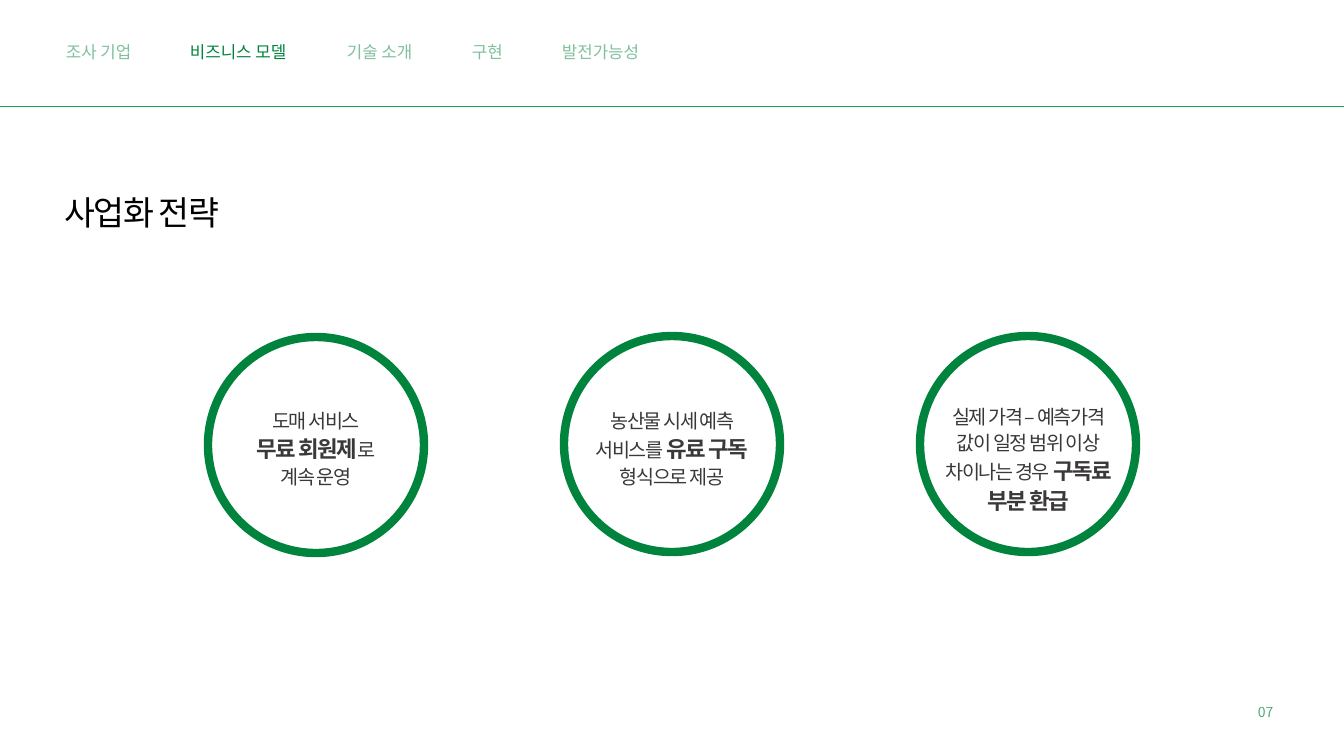
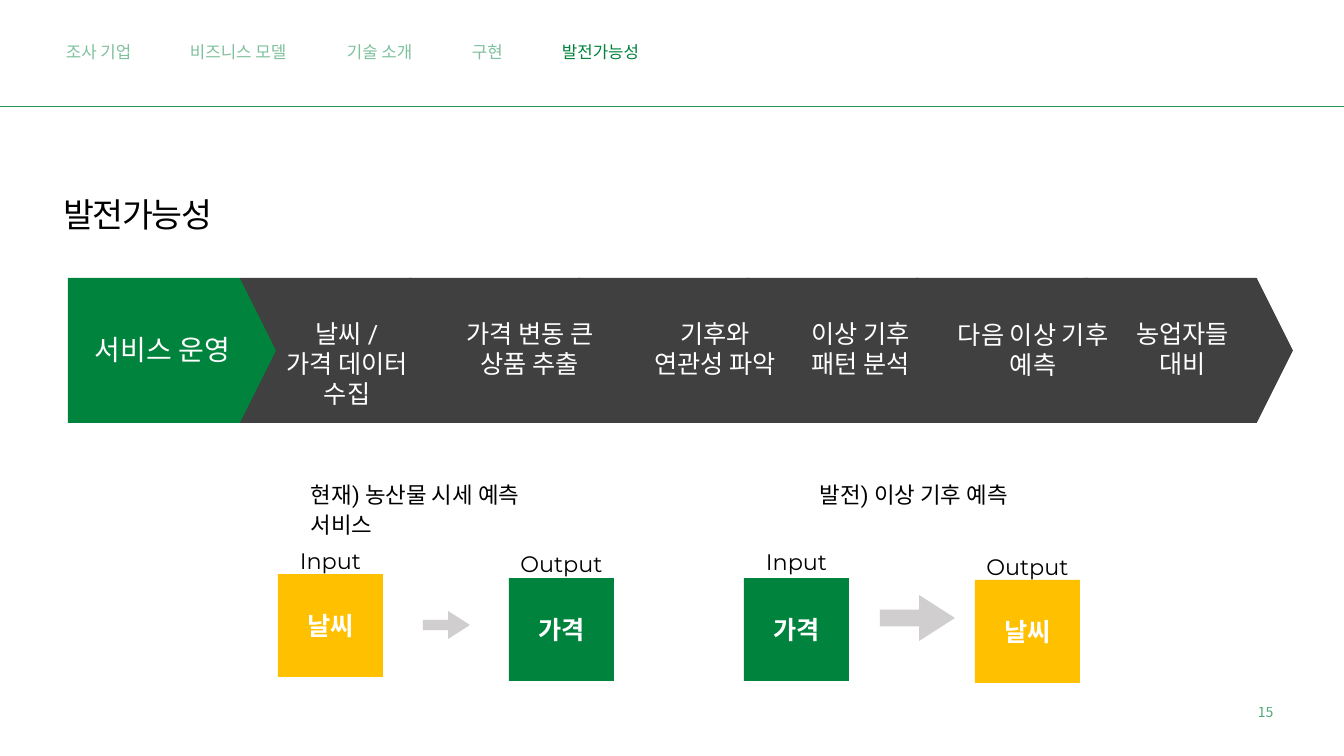
"""Build two slides on the business strategy and growth of a price forecast service."""
from lxml.etree import SubElement
from pptx import Presentation
from pptx.dml.color import RGBColor
from pptx.enum.shapes import MSO_CONNECTOR, MSO_SHAPE
from pptx.enum.text import MSO_ANCHOR, MSO_AUTO_SIZE, PP_ALIGN
from pptx.oxml.ns import qn
from pptx.util import Pt

PX = 12192000 / 1344
GREEN, GOLD, DARK = "00833D", "FFC000", "404040"
GREY, INK, WHITE, BLACK = "D0CECE", "3B3838", "FFFFFF", "000000"
SANS, CJK, LATIN = "Roboto", "Noto Sans CJK KR", "Montserrat"
tone = RGBColor.from_string


def add(page, box, kind=None, fill=None):
    """Add a text box, or a flat shape of the given kind."""
    rect = [round(n * PX) for n in box]
    if kind is None:
        return page.shapes.add_textbox(*rect)
    shape = page.shapes.add_shape(kind, *rect)
    shape.shadow.inherit = False
    shape.line.fill.background()
    if fill:
        shape.fill.solid()
        shape.fill.fore_color.rgb = tone(fill)
    else:
        shape.fill.background()
    return shape


def say(shape, text, size, color, face=SANS, mid=False, wrap=True,
        lead=None, tight=False, bold=False, alpha=100):
    """Write lines of text; parts between asterisks are bold and larger."""
    frame = shape.text_frame
    frame.text = text
    frame.word_wrap = wrap
    for para in frame.paragraphs:
        parts = para.text.split("*")
        para.clear()
        para.alignment = PP_ALIGN.CENTER if mid else PP_ALIGN.LEFT
        if lead:
            para.line_spacing = lead
        for i, part in enumerate(parts):
            if not part:
                continue
            run = para.add_run()
            run.text = part
            strong = i % 2 == 1
            run.font.size = Pt(size + 2 * strong)
            run.font.bold = bold or strong
            run.font.color.rgb = tone(color)
            run.font.name = face
            props = run.font._element
            SubElement(props, qn("a:ea")).set("typeface", CJK)
            if tight:
                props.set("spc", "-100")
            if alpha < 100:
                clear = SubElement(props.find(".//" + qn("a:srgbClr")), qn("a:alpha"))
                clear.set("val", str(alpha * 1000))


deck = Presentation()
deck.slide_width, deck.slide_height = round(1344 * PX), round(756 * PX)

MENU = [("조사 기업", 56, 87), ("비즈니스 모델", 180, 118), ("기술 소개", 337, 87),
        ("구현", 462, 51), ("발전가능성", 552, 98)]
PAGES = [("사업화 전략", "비즈니스 모델", "07", (54, 183, 240, 51)),
         ("발전가능성", "발전가능성", "15", (53, 185, 240, 51))]

for head, topic, num, box in PAGES:
    page = deck.slides.add_slide(deck.slide_layouts[5])
    title = page.shapes.title
    title.left, title.top, title.width, title.height = [round(n * PX) for n in box]
    say(title, head, 24, BLACK, lead=1.1, tight=True)
    title.text_frame.vertical_anchor = MSO_ANCHOR.TOP
    title.text_frame.auto_size = MSO_AUTO_SIZE.NONE
    for name, left, width in MENU:
        say(add(page, (left, 37, width, 30)), name, 12, GREEN, wrap=False,
            alpha=100 if name == topic else 50)
    say(add(page, (1248, 697, 36, 27)), num, 10, GREEN, CJK, wrap=False,
        lead=1.1, alpha=70)
    rule = page.shapes.add_connector(
        MSO_CONNECTOR.STRAIGHT, 0, round(106 * PX), deck.slide_width, round(106 * PX))
    rule.line.color.rgb = tone("26955A")
    rule.line.width = Pt(0.5)
    SubElement(rule._element.spPr, qn("a:effectLst"))

plan, growth = deck.slides

RINGS = [(208, 337, 402, "도매 서비스\n*무료 회원제*로\n계속 운영"),
         (564, 336, 402, "농산물 시세 예측 서비스를 *유료 구독* 형식으로 제공"),
         (920, 336, 398, "실제 가격 – 예측가격 값이 일정 범위 이상 차이나는 경우 *구독료 부분 환급*")]
for left, top, line, text in RINGS:
    ring = add(plan, (left, top, 216, 216), MSO_SHAPE.OVAL)
    ring.line.color.rgb = tone(GREEN)
    ring.line.width = Pt(6)
    say(add(plan, (left + 12, line, 192, 90)), text, 14, INK,
        mid=True, lead=1.1, tight=True)

STEPS = [(240 + 169 * i, DARK) for i in range(6)] + [(68, GREEN)]
for left, color in STEPS:
    step = add(growth, (left, 278, 208, 145), MSO_SHAPE.PENTAGON, color)
    step.adjustments[0] = 0.25

LABELS = [(77, 328, 171, 20, "서비스 운영"),
          (275, 313, 144, 18, "날씨 /\n가격 데이터\n수집"),
          (429, 313, 202, 18, "가격 변동 큰\n상품 추출"),
          (640, 313, 150, 18, "기후와\n연관성 파악"),
          (800, 313, 122, 18, "이상 기후\n패턴 분석"),
          (946, 314, 174, 18, "다음 이상 기후\n예측"),
          (1112, 313, 141, 18, "농업자들\n대비")]
for left, top, width, size, text in LABELS:
    say(add(growth, (left, top, width, 72)), text, size, WHITE, mid=True)

for left, width, text in [(301, 280, "현재) 농산물 시세 예측 서비스"),
                          (810, 230, "발전) 이상 기후 예측")]:
    say(add(growth, (left, 474, width, 38)), text, 16, BLACK, lead=1.1)

TILES = [(278, 574, 542, "Input", "날씨", GOLD),
         (509, 578, 545, "Output", "가격", GREEN),
         (744, 578, 543, "Input", "가격", GREEN),
         (975, 580, 548, "Output", "날씨", GOLD)]
for left, top, line, role, text, color in TILES:
    tile = add(growth, (left, top, 105, 103), MSO_SHAPE.RECTANGLE, color)
    say(tile, text, 18, WHITE, mid=True, bold=True)
    say(add(growth, (left, line, 105, 37)), role, 16, BLACK, LATIN, mid=True)

for box in [(423, 611, 47, 28), (880, 595, 75, 46)]:
    arrow = add(growth, box, MSO_SHAPE.RIGHT_ARROW, GREY)
    arrow.adjustments[0], arrow.adjustments[1] = 0.36, 0.78

deck.save("out.pptx")
